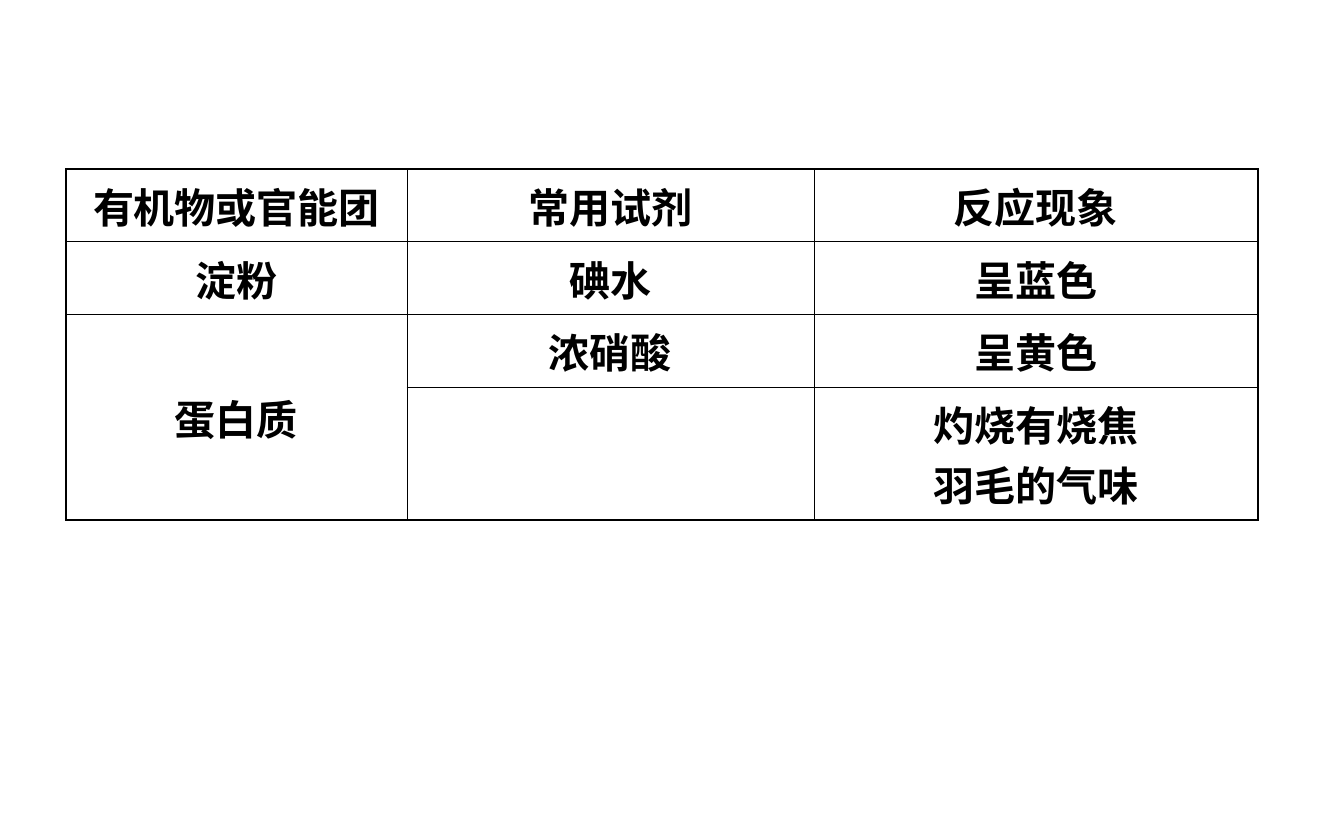
from lxml import etree
from pptx import Presentation
from pptx.dml.color import RGBColor
from pptx.enum.text import MSO_ANCHOR, PP_ALIGN
from pptx.oxml.ns import qn
from pptx.util import Pt

MIDDLE = MSO_ANCHOR.MIDDLE
CENTER = PP_ALIGN.CENTER
FONT = "Noto Sans CJK SC"
INK = "000000"
THIN, THICK = 0.45, 0.96

LEFT, TOP = 66, 169
COLS = [341, 407, 444]
ROWS = [63, 63, 63, 113]
CELLS = [
    ["有机物或官能团", "常用试剂", "反应现象"],
    ["淀粉", "碘水", "呈蓝色"],
    ["蛋白质", "浓硝酸", "呈黄色"],
    ["", "", "灼烧有烧焦\n羽毛的气味"],
]


def px(n):
    return round(n * 914400 / 134.4)


def color(code):
    return RGBColor.from_string(code)


def write(cell, text):
    """Put each line of text in its own centred paragraph."""
    cell.vertical_anchor = MIDDLE
    frame = cell.text_frame
    for i, line in enumerate(text.split("\n")):
        para = frame.add_paragraph() if i else frame.paragraphs[0]
        para.alignment = CENTER
        run = para.add_run()
        run.text = line
        font = run.font
        font.name, font.size, font.bold = FONT, Pt(22), True
        font.color.rgb = color(INK)
        east = etree.SubElement(font._element, qn("a:ea"))
        east.set("typeface", FONT)


def border(cell, outer):
    """Rule all four sides; outer tells which lie on the table edge."""
    props = cell._tc.get_or_add_tcPr()
    for i, side in enumerate("LRTB"):
        width = THICK if outer[side] else THIN
        line = etree.Element(qn(f"a:ln{side}"), w=str(Pt(width)))
        fill = etree.SubElement(line, qn("a:solidFill"))
        etree.SubElement(fill, qn("a:srgbClr"), val=INK)
        props.insert(i, line)


def add_grid(slide):
    shape = slide.shapes.add_table(
        len(ROWS), len(COLS), px(LEFT), px(TOP), px(sum(COLS)), px(sum(ROWS)))
    table = shape.table
    table.first_row = table.horz_banding = False
    for col, width in zip(table.columns, COLS):
        col.width = px(width)
    for row, height in zip(table.rows, ROWS):
        row.height = px(height)

    # Protein spans both of its tests
    table.cell(2, 0).merge(table.cell(3, 0))

    for r, texts in enumerate(CELLS):
        for c, text in enumerate(texts):
            cell = table.cell(r, c)
            cell.fill.background()
            if cell.is_spanned:
                continue
            if text:
                write(cell, text)
            end = r + cell.span_height if cell.is_merge_origin else r + 1
            border(cell, {"L": c == 0, "R": c == len(COLS) - 1,
                          "T": r == 0, "B": end == len(ROWS)})


def main():
    deck = Presentation()
    deck.slide_width, deck.slide_height = px(1344), px(840)
    slide = deck.slides.add_slide(deck.slide_layouts[6])
    add_grid(slide)
    deck.save("out.pptx")


if __name__ == "__main__":
    main()
